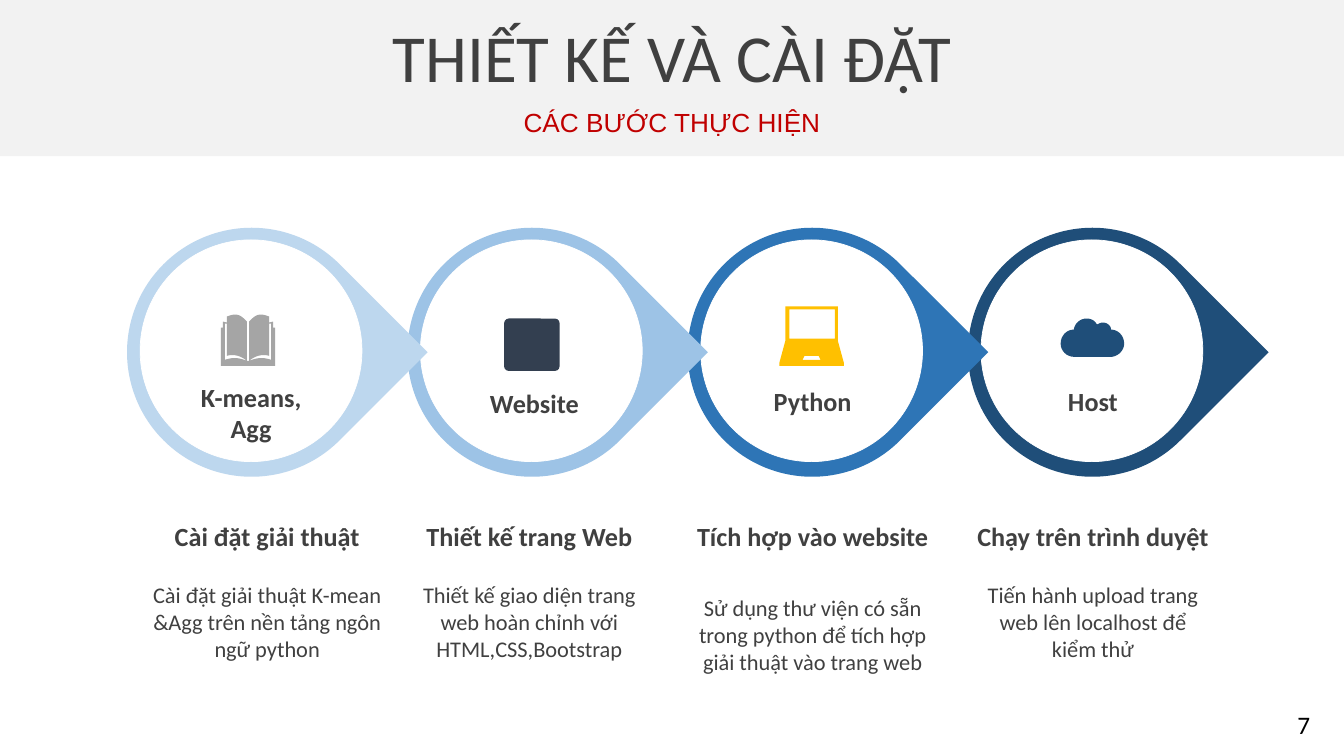
from pptx import Presentation
from pptx.dml.color import RGBColor
from pptx.enum import shapes, text
from pptx.util import Inches, Pt

DARK = RGBColor(0x40, 0x40, 0x40)
BAND = RGBColor(0xF2, 0xF2, 0xF2)
RED = RGBColor(0xC0, 0x00, 0x00)
WHITE = RGBColor(0xFF, 0xFF, 0xFF)
BLACK = RGBColor(0x00, 0x00, 0x00)
PALE = RGBColor(0xBD, 0xD7, 0xEE)
LIGHT = RGBColor(0x9D, 0xC3, 0xE6)
BLUE = RGBColor(0x2E, 0x75, 0xB6)
NAVY = RGBColor(0x1F, 0x4E, 0x79)
GREY = RGBColor(0xA5, 0xA5, 0xA5)
SLATE = RGBColor(0x33, 0x3F, 0x50)
GOLD = RGBColor(0xFF, 0xC0, 0x00)

MSO = shapes.MSO_SHAPE
FIRST_LEFT, PITCH = 1.26, 2.78

# Ring colour, label, label box (left, top, height),
# heading, description, caption left, description top
STEPS = [
    (PALE, "K-means,\nAgg", (1.53, 3.73, 0.73), "Cài đặt giải thuật",
     "Cài đặt giải thuật K-mean &Agg trên nền tảng ngôn ngữ python", 1.39, 5.71),
    (LIGHT, "Website", (4.34, 3.79, 0.42), "Thiết kế trang Web",
     "Thiết kế giao diện trang web hoàn chỉnh với HTML,CSS,Bootstrap", 3.99, 5.71),
    (BLUE, "Python", (7.1, 3.77, 0.42), "Tích hợp vào website",
     "Sử dụng thư viện có sẵn trong python để tích hợp giải thuật vào trang web",
     6.8, 5.84),
    (NAVY, "Host", (9.88, 3.77, 0.42), "Chạy trên trình duyệt",
     "Tiến hành upload trang web lên localhost để kiểm thử", 9.58, 5.71),
]

# Icon outlines: two numbers are a corner, six are a Bézier curve
BOOK_CENTRE = 2.46
BOOK_HALF = [
    (2.46, 3.63), (2.73, 3.63), (2.73, 3.25), (2.71, 3.25), (2.71, 3.19),
    (2.67, 3.2), (2.67, 3.14), (2.64, 3.13, 2.61, 3.12, 2.59, 3.12),
    (2.54, 3.12, 2.51, 3.15, 2.47, 3.19), (2.47, 3.58),
    (2.53, 3.53, 2.6, 3.51, 2.67, 3.53), (2.67, 3.21), (2.69, 3.21),
    (2.69, 3.57), (2.6, 3.54, 2.55, 3.55, 2.47, 3.58), (2.46, 3.58),
]
LAPTOP = [
    [(7.79, 3.04), (8.31, 3.04), (8.31, 3.38), (8.37, 3.6), (8.37, 3.63),
     (7.73, 3.63), (7.73, 3.6), (7.79, 3.38)],
    [(7.83, 3.07), (7.83, 3.36), (8.28, 3.36), (8.28, 3.07)],
    [(7.98, 3.53), (7.96, 3.57), (8.14, 3.57), (8.12, 3.53)],
]
CLOUD = [
    (10.78, 3.16), (10.82, 3.16, 10.86, 3.18, 10.88, 3.22),
    (10.9, 3.21, 10.92, 3.2, 10.94, 3.2), (10.98, 3.2, 11.02, 3.23, 11.02, 3.27),
    (11.09, 3.27, 11.15, 3.33, 11.15, 3.41), (11.15, 3.47, 11.1, 3.53, 11.03, 3.54),
    (10.65, 3.54), (10.58, 3.54, 10.52, 3.48, 10.52, 3.41),
    (10.52, 3.33, 10.58, 3.27, 10.65, 3.27), (10.66, 3.21, 10.71, 3.16, 10.78, 3.16),
]


def paint(sp, color):
    sp.shadow.inherit = False
    sp.fill.solid()
    sp.fill.fore_color.rgb = color
    sp.line.fill.background()
    return sp


def add_preset(s, kind, x, y, w, h, color):
    sp = s.shapes.add_shape(kind, Inches(x), Inches(y), Inches(w), Inches(h))
    return paint(sp, color)


def add_text(s, x, y, w, h, content, size, bold=False, color=DARK, font="Calibri",
             align=text.PP_ALIGN.CENTER, anchor=text.MSO_ANCHOR.MIDDLE):
    sp = s.shapes.add_textbox(Inches(x), Inches(y), Inches(w), Inches(h))
    tf = sp.text_frame
    tf.word_wrap = True
    tf.vertical_anchor = anchor
    tf.text = content
    for p in tf.paragraphs:
        p.alignment = align
        p.font.size, p.font.bold, p.font.name = Pt(size), bold, font
        p.font.color.rgb = color
    return sp


def add_title(s, y, h, content, size, **style):
    sp = add_text(s, 0, y, 13.33, h, content, size, **style)
    p = sp.text_frame.paragraphs[0]
    p.line_spacing, p.space_before = 0.9, Pt(10)


def flatten(outline, steps=8):
    """Turn corners and curves into points in EMU."""
    points = []
    for seg in outline:
        if len(seg) == 2:
            points.append(seg)
            continue
        x0, y0 = points[-1]
        x1, y1, x2, y2, x3, y3 = seg
        for i in range(1, steps + 1):
            t = i / steps
            a, b, c, d = (1 - t) ** 3, 3 * t * (1 - t) ** 2, 3 * t * t * (1 - t), t ** 3
            points.append((a * x0 + b * x1 + c * x2 + d * x3,
                           a * y0 + b * y1 + c * y2 + d * y3))
    return [(Inches(x), Inches(y)) for x, y in points]


def add_icon(s, outlines, color):
    first, *rest = [flatten(outline) for outline in outlines]
    builder = s.shapes.build_freeform(*first[0])
    builder.add_line_segments(first[1:], close=True)
    for points in rest:
        builder.move_to(*points[0])
        builder.add_line_segments(points[1:], close=True)
    paint(builder.convert_to_shape(), color)


def mirror(outline, centre):
    return [tuple(2 * centre - v if i % 2 == 0 else v for i, v in enumerate(seg))
            for seg in outline]


def add_ring(s, x, color):
    add_preset(s, MSO.TEAR, x, 2.26, 2.47, 2.47, color).rotation = 45
    disc = add_preset(s, MSO.OVAL, x + 0.13, 2.38, 2.2, 2.2, WHITE)
    disc.line.color.rgb = WHITE
    disc.line.width = Pt(0.5)


def main():
    prs = Presentation()
    prs.slide_width, prs.slide_height = Inches(13.33), Inches(7.5)
    s = prs.slides.add_slide(prs.slide_layouts[6])

    # Header
    add_preset(s, MSO.RECTANGLE, 0, 0, 13.33, 1.55, BAND)
    add_title(s, 0.18, 0.84, "THIẾT KẾ VÀ CÀI ĐẶT", 48)
    add_title(s, 1.02, 0.42, "CÁC BƯỚC THỰC HIỆN", 18.7, color=RED, font="Arial")

    # Rings, last first so each tip covers the next ring
    for i, step in reversed(list(enumerate(STEPS))):
        add_ring(s, FIRST_LEFT + i * PITCH, step[0])

    # Labels and captions
    for _, label, (x, y, h), heading, description, left, top in STEPS:
        add_text(s, x, y, 1.92, h, label, 18.7, bold=True)
        add_text(s, left, 5.11, 2.52, 0.42, heading, 18.7, bold=True)
        add_text(s, left, top, 2.52, 0.91, description, 16)

    # Icons
    add_icon(s, [BOOK_HALF, mirror(BOOK_HALF, BOOK_CENTRE)], GREY)
    add_preset(s, MSO.ROUNDED_RECTANGLE, 5, 3.16, 0.55, 0.52, SLATE).adjustments[0] = 0.09
    add_icon(s, LAPTOP, GOLD)
    add_icon(s, [CLOUD], NAVY)

    # Page number
    add_text(s, 12.77, 6.99, 0.56, 0.4, "7", 18, color=BLACK,
             align=text.PP_ALIGN.LEFT, anchor=text.MSO_ANCHOR.TOP)

    prs.save("out.pptx")


if __name__ == "__main__":
    main()
